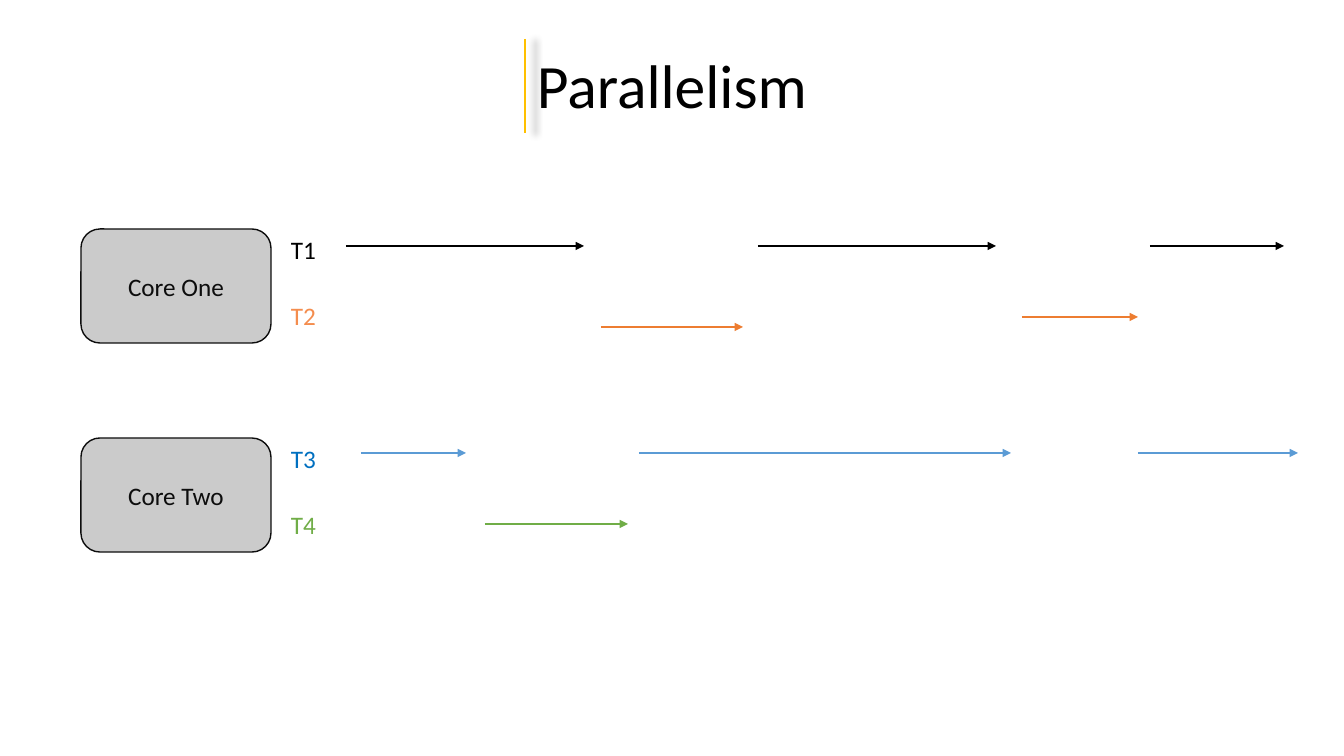
import pptx
import pptx.util
import pptx.dml.color
import pptx.enum.shapes
import pptx.enum.text
import pptx.oxml
import pptx.oxml.ns

COLORS = {
    "black": "000000", "ink": "0D0D0D", "gold": "FFC000",
    "orange": "ED7D31", "peach": "F48D4E", "sky": "5B9BD5",
    "blue": "0070C0", "green": "70AD47",
}
TITLE = "Parallelism"
# core: name, top, threads; thread: name, text colour, line colour, runs
# run: start x, end x, y
CORES = [
    ("Core One", 229, [
        ("T1", "black", "black",
         [(346, 584, 246), (758, 996, 246), (1150, 1284, 246)]),
        ("T2", "peach", "orange", [(601, 743, 327), (1022, 1138, 317)]),
    ]),
    ("Core Two", 438, [
        ("T3", "blue", "sky",
         [(361, 466, 453), (639, 1011, 453), (1138, 1298, 453)]),
        ("T4", "green", "green", [(485, 628, 524)]),
    ]),
]
CORE_X, CORE_W, CORE_H = 81, 190, 114
LABEL_X, LABEL_W, LABEL_H, LABEL_STEP = 281, 53, 40, 66
SCALE = 914400 / 100.8

PP_ALIGN = pptx.enum.text.PP_ALIGN
ANCHOR = pptx.enum.text.MSO_ANCHOR
FIT = pptx.enum.text.MSO_AUTO_SIZE
SHAPE = pptx.enum.shapes.MSO_SHAPE
NS = pptx.oxml.ns.nsdecls("a")


def px(*vals):
    return [pptx.util.Emu(round(v * SCALE)) for v in vals]


def rgb(name):
    return pptx.dml.color.RGBColor.from_string(COLORS[name])


def write(shape, text, color="black", size=18, align=PP_ALIGN.LEFT,
          anchor=ANCHOR.TOP, fit=FIT.NONE, space=None):
    frame = shape.text_frame
    frame.word_wrap = True
    frame.auto_size = fit
    frame.vertical_anchor = anchor
    para = frame.paragraphs[0]
    para.alignment = align
    para.line_spacing = space
    run = para.add_run()
    run.text = text
    run.font.name = "Calibri"
    run.font.size = pptx.util.Pt(size)
    run.font.color.rgb = rgb(color)


def draw_line(x1, y1, x2, y2, color, arrow=True, effect=""):
    line = slide.shapes.add_connector(
        pptx.enum.shapes.MSO_CONNECTOR.STRAIGHT, *px(x1, y1, x2, y2))
    line.line.color.rgb = rgb(color)
    line.line.width = pptx.util.Pt(1.5)
    if arrow:
        line.line._get_or_add_ln().append(
            pptx.oxml.parse_xml(f'<a:tailEnd {NS} type="triangle"/>'))
    line._element.spPr.append(
        pptx.oxml.parse_xml(f"<a:effectLst {NS}>{effect}</a:effectLst>"))


def draw_core(name, top):
    core = slide.shapes.add_shape(
        SHAPE.ROUNDED_RECTANGLE, *px(CORE_X, top, CORE_W, CORE_H))
    core.shadow.inherit = False
    core.fill.solid()
    core.fill.fore_color.rgb = rgb("ink")
    tint = core._element.spPr.find(".//" + pptx.oxml.ns.qn("a:srgbClr"))
    tint.append(pptx.oxml.parse_xml(f'<a:alpha {NS} val="21000"/>'))
    core.line.color.rgb = rgb("ink")
    core.line.width = pptx.util.Pt(1)
    write(core, name, color="ink", align=PP_ALIGN.CENTER,
          anchor=ANCHOR.MIDDLE)


deck = pptx.Presentation()
deck.slide_width, deck.slide_height = px(1344, 756)
slide = deck.slides.add_slide(deck.slide_layouts[6])

for name, top, threads in CORES:
    draw_core(name, top)
    for row, (label, tone, hue, runs) in enumerate(threads):
        box = slide.shapes.add_textbox(
            *px(LABEL_X, top + row * LABEL_STEP, LABEL_W, LABEL_H))
        write(box, label, color=tone, fit=FIT.SHAPE_TO_FIT_TEXT)
        for start, end, y in runs:
            draw_line(start, y, end, y, hue)

head = slide.shapes.add_textbox(*px(514, 16, 316, 146))
write(head, TITLE, size=44, align=PP_ALIGN.CENTER, anchor=ANCHOR.MIDDLE,
      space=0.9)
SHADOW = ('<a:outerShdw blurRad="63500" sx="102000" sy="102000" algn="ctr" '
          f'rotWithShape="0"><a:srgbClr val="{COLORS["black"]}">'
          '<a:alpha val="40000"/></a:srgbClr></a:outerShdw>')
draw_line(525, 39, 525, 133, "gold", arrow=False, effect=SHADOW)

deck.save("out.pptx")
